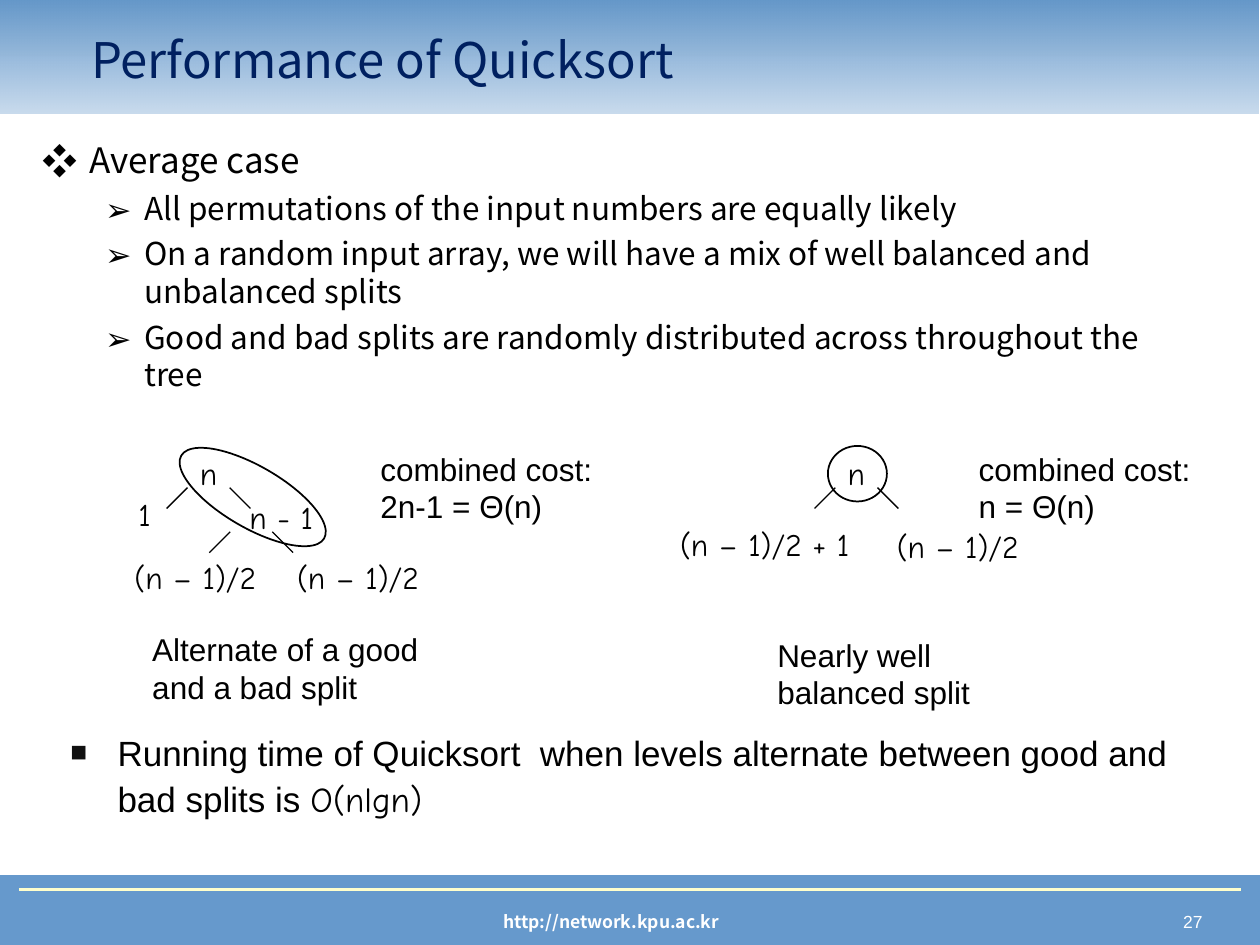
from dataclasses import dataclass

from lxml.etree import SubElement
from pptx import Presentation
from pptx.dml.color import RGBColor
from pptx.enum.shapes import MSO_CONNECTOR, MSO_SHAPE
from pptx.enum.text import MSO_ANCHOR, PP_ALIGN
from pptx.oxml.ns import qn
from pptx.util import Cm, Pt

COLORS = {
    "bar": "6699CC",
    "sky": "6497C9",
    "rule": "FFFFCC",
    "title": "002060",
    "ink": "000000",
    "mark": "111111",
    "white": "FFFFFF",
}
SANS, HAND, NOTO = "Arial", "Comic Neue", "Noto Sans CJK KR"


@dataclass
class Box:
    left: float
    top: float
    width: float
    height: float

    def spans(self) -> tuple:
        return Cm(self.left), Cm(self.top), Cm(self.width), Cm(self.height)


@dataclass
class Style:
    face: str
    size: float = 18
    color: str = "ink"
    bold: bool = False
    align: PP_ALIGN = PP_ALIGN.LEFT


@dataclass
class Bullet:
    char: str
    face: str
    left: float
    hang: float
    color: str = "ink"
    scale: int = 100


@dataclass
class Label:
    box: Box
    lines: list[str]
    face: str


@dataclass
class Fork:
    left: float
    top: float


@dataclass
class Ring:
    box: Box
    turn: float = 0


def tint(name: str) -> RGBColor:
    return RGBColor.from_string(COLORS[name])


def set_font(font, style: Style) -> None:
    font.name = style.face
    font.size = Pt(style.size)
    font.bold = style.bold
    font.color.rgb = tint(style.color)


def add_frame(slide, box: Box):
    frame = slide.shapes.add_textbox(*box.spans()).text_frame
    frame.word_wrap = True
    return frame


def next_para(frame, index: int):
    return frame.add_paragraph() if index else frame.paragraphs[0]


def add_text(slide, box: Box, lines: list[str], style: Style):
    frame = add_frame(slide, box)
    for index, line in enumerate(lines):
        para = next_para(frame, index)
        para.text = line
        para.alignment = style.align
        set_font(para.font, style)
    return frame


def add_bullet(para, bullet: Bullet) -> None:
    props = para._p.get_or_add_pPr()
    props.set("marL", str(Cm(bullet.left)))
    props.set("indent", str(-Cm(bullet.hang)))
    color = SubElement(props, qn("a:buClr"))
    SubElement(color, qn("a:srgbClr")).set("val", COLORS[bullet.color])
    SubElement(props, qn("a:buSzPct")).set("val", str(bullet.scale * 1000))
    SubElement(props, qn("a:buFont")).set("typeface", bullet.face)
    SubElement(props, qn("a:buChar")).set("char", bullet.char)


def add_line(slide, start: tuple, end: tuple, color: str = "ink", width: float = 0.75) -> None:
    ends = [Cm(value) for value in (*start, *end)]
    line = slide.shapes.add_connector(MSO_CONNECTOR.STRAIGHT, *ends)
    line.line.color.rgb = tint(color)
    line.line.width = Pt(width)
    SubElement(line._element.spPr, qn("a:effectLst"))


def add_fork(slide, fork: Fork, gap: float = 0.85, arm: float = 0.42) -> None:
    right = fork.left + gap
    foot = fork.top + arm
    add_line(slide, (fork.left, fork.top), (fork.left - arm, foot))
    add_line(slide, (right, fork.top), (right + arm, foot))


def add_ring(slide, ring: Ring) -> None:
    shape = slide.shapes.add_shape(MSO_SHAPE.OVAL, *ring.box.spans())
    shape.shadow.inherit = False
    shape.fill.background()
    shape.line.color.rgb = tint("ink")
    shape.line.width = Pt(1)
    shape.rotation = ring.turn


def add_bands(slide) -> None:
    foot = slide.shapes.add_shape(MSO_SHAPE.RECTANGLE, *Box(0, 17.65, 25.4, 1.4).spans())
    foot.shadow.inherit = False
    foot.fill.solid()
    foot.fill.fore_color.rgb = tint("bar")
    foot.line.color.rgb = tint("bar")
    foot.line.width = Pt(0.75)
    small = Style(SANS, 10, "white", align=PP_ALIGN.RIGHT)
    add_text(slide, Box(18.85, 18.24, 5.74, 0.69), [" 27 "], small)
    link = Style(NOTO, 10, "white", True, PP_ALIGN.CENTER)
    add_text(slide, Box(5.77, 18.24, 13.1, 0.69), ["http://network.kpu.ac.kr"], link)
    add_line(slide, (0.38, 17.93), (25.02, 17.93), "rule", 1.5)

    head = slide.shapes.add_shape(MSO_SHAPE.RECTANGLE, *Box(-0.03, 0, 25.4, 2.29).spans())
    head.shadow.inherit = False
    head.line.fill.background()
    head.fill.gradient()
    head.fill.gradient_angle = 90
    for stop, name in zip(head.fill.gradient_stops, ("bar", "sky")):
        stop.color.rgb = tint(name)
    first = head._element.spPr.find(".//" + qn("a:srgbClr"))
    SubElement(first, qn("a:alpha")).set("val", "35000")
    title = add_text(slide, Box(1.59, 0.41, 21.44, 1.57), ["Performance of Quicksort"], Style(NOTO, 28, "title"))
    title.vertical_anchor = MSO_ANCHOR.MIDDLE


def add_points(slide) -> None:
    main = Bullet("❖", NOTO, 0.95, 0.95)
    sub = Bullet("➢", NOTO, 2.06, 0.79)
    points = [
        (main, 20, "Average case"),
        (sub, 18, "All permutations of the input numbers are equally likely"),
        (sub, 18, "On a random input array, we will have a mix of well balanced and unbalanced splits"),
        (sub, 18, "Good and bad splits are randomly distributed across throughout the tree"),
    ]
    frame = add_frame(slide, Box(0.6, 2.67, 23.6, 5.84))
    for index, (bullet, size, text) in enumerate(points):
        para = next_para(frame, index)
        para.text = text
        para.level = int(bullet is sub)
        add_bullet(para, bullet)
        if index:
            para.space_before = Pt(4.5)
        set_font(para.font, Style(NOTO, size))


def add_result(slide) -> None:
    para = add_frame(slide, Box(1.17, 14.53, 22.86, 2.34)).paragraphs[0]
    add_bullet(para, Bullet("■", SANS, 0.95, 0.95, "mark", 80))
    para.line_spacing = 1.1
    parts = [
        ("Running time of Quicksort  when levels alternate between good and bad splits is ", SANS),
        ("O(nlgn)", HAND),
    ]
    for text, face in parts:
        run = para.add_run()
        run.text = text
        set_font(run.font, Style(face, 20))


LABELS = [
    Label(Box(2.82, 12.57, 6.1, 1.78), ["Alternate of a good", "and a bad split"], SANS),
    Label(Box(15.42, 12.69, 4.7, 1.78), ["Nearly well", "balanced split"], SANS),
    Label(Box(3.78, 9.02, 1.1, 1.02), ["n"], HAND),
    Label(Box(4.78, 9.91, 2.1, 1.02), ["n - 1"], HAND),
    Label(Box(2.54, 9.86, 1, 1.02), ["1"], HAND),
    Label(Box(5.74, 11.13, 3.3, 1.02), ["(n – 1)/2"], HAND),
    Label(Box(2.46, 11.13, 3.3, 1.02), ["(n – 1)/2"], HAND),
    Label(Box(16.84, 9.02, 1.1, 1.02), ["n"], HAND),
    Label(Box(17.83, 10.49, 3.3, 1.02), ["(n – 1)/2"], HAND),
    Label(Box(13.46, 10.46, 4.3, 1.02), ["(n – 1)/2 + 1"], HAND),
    Label(Box(7.42, 8.94, 5, 1.78), ["combined cost:", "2n-1 = Θ(n)"], SANS),
    Label(Box(19.48, 8.94, 5, 1.78), ["combined cost:", "n = Θ(n)"], SANS),
]
FORKS = [Fork(3.78, 9.83), Fork(4.64, 10.72), Fork(16.84, 9.83)]
RINGS = [Ring(Box(3.43, 9.4, 3.33, 1.24), 30.1), Ring(Box(16.69, 8.99, 1.19, 1.12))]


def main() -> None:
    deck = Presentation()
    deck.slide_width, deck.slide_height = Cm(25.4), Cm(19.05)
    slide = deck.slides.add_slide(deck.slide_layouts[6])
    add_bands(slide)
    add_points(slide)
    for label in LABELS:
        add_text(slide, label.box, label.lines, Style(label.face))
    for fork in FORKS:
        add_fork(slide, fork)
    add_result(slide)
    for ring in RINGS:
        add_ring(slide, ring)
    deck.save("out.pptx")


if __name__ == "__main__":
    main()
